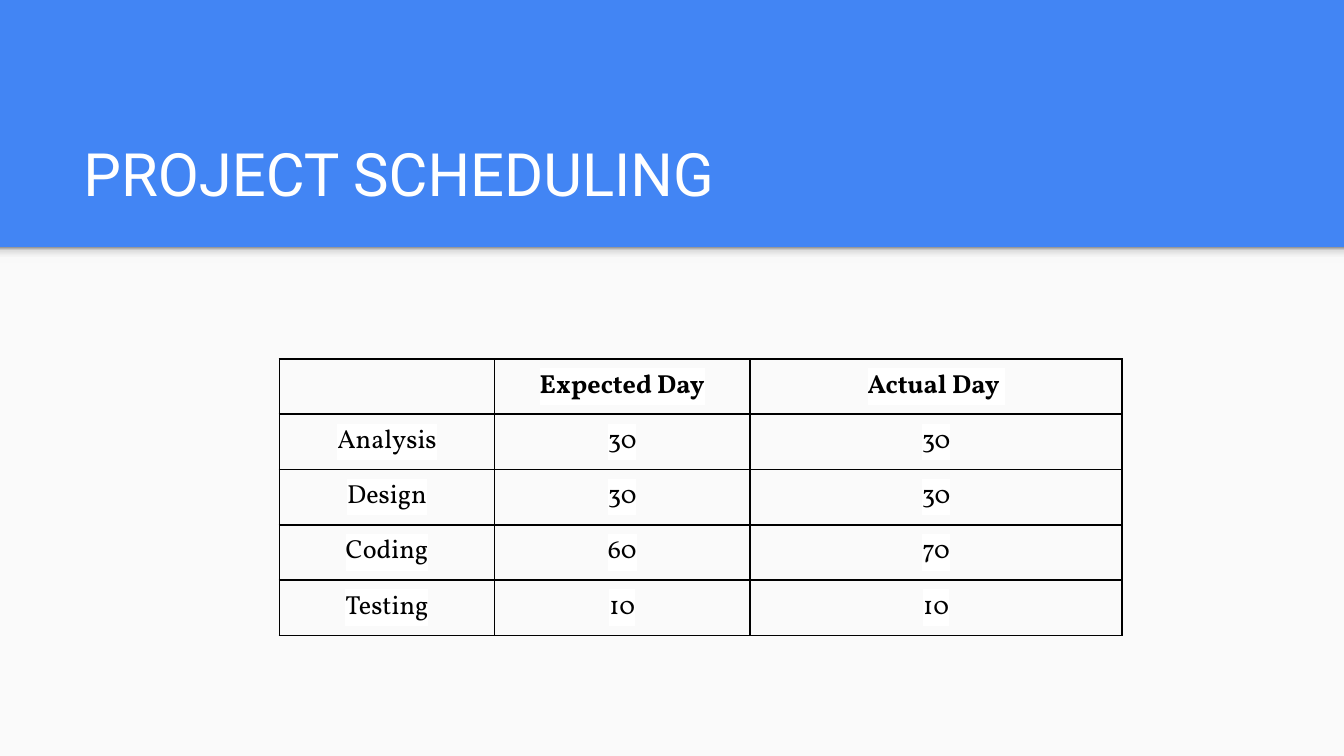
import pptx
import pptx.util
import pptx.dml.color
import pptx.enum.shapes
import pptx.enum.text
import pptx.oxml
import pptx.oxml.ns
from lxml import etree

Inches = pptx.util.Inches
Pt = pptx.util.Pt
RGB = pptx.dml.color.RGBColor
RECT = pptx.enum.shapes.MSO_SHAPE.RECTANGLE
ALIGN = pptx.enum.text.PP_ALIGN
ANCHOR = pptx.enum.text.MSO_ANCHOR
qn = pptx.oxml.ns.qn
NS = pptx.oxml.ns.nsdecls("a")

BLUE = RGB(0x42, 0x85, 0xF4)
PALE = RGB(0xFA, 0xFA, 0xFA)
WHITE = RGB(0xFF, 0xFF, 0xFF)
BLACK = RGB(0, 0, 0)
SHADE = [(0, RGB(0xF9, 0xF9, 0xF9)), (36, RGB(0xF9, 0xF9, 0xF9)),
         (80, RGB(0xDE, 0xDE, 0xDE)), (100, RGB(0x99, 0x99, 0x99))]


def add_band(top, height):
    band = slide.shapes.add_shape(RECT, 0, top, deck.slide_width, height)
    band.shadow.inherit = False
    band.fill.solid()
    band.fill.fore_color.rgb = PALE
    band.line.fill.background()
    return band


deck = pptx.Presentation()
deck.slide_width = Inches(10)
deck.slide_height = Inches(10) * 9 // 16
slide = deck.slides.add_slide(deck.slide_layouts[5])
slide.background.fill.solid()
slide.background.fill.fore_color.rgb = BLUE

edge = Inches(1.84)
add_band(edge, deck.slide_height - edge)
shade = add_band(edge, Inches(0.12))
stops = "".join(f'<a:gs pos="{pos * 1000}"><a:srgbClr val="{tone}"/></a:gs>'
                for pos, tone in SHADE)
grad = pptx.oxml.parse_xml(
    f'<a:gradFill {NS} rotWithShape="1"><a:gsLst>{stops}</a:gsLst>'
    '<a:lin ang="16200000" scaled="0"/></a:gradFill>')
solid = shade.element.spPr.find(qn("a:solidFill"))
solid.getparent().replace(solid, grad)

title = slide.shapes.title
title.left, title.top = Inches(0.52), Inches(0.81)
title.width, title.height = Inches(8.99), Inches(0.84)
frame = title.text_frame
frame.text = "PROJECT SCHEDULING"
frame.word_wrap = True
frame.auto_size = pptx.enum.text.MSO_AUTO_SIZE.NONE
frame.vertical_anchor = ANCHOR.BOTTOM
frame.margin_left = frame.margin_right = Inches(0.1)
frame.margin_top = frame.margin_bottom = Inches(0.1)
frame.paragraphs[0].alignment = ALIGN.LEFT
font = frame.paragraphs[0].runs[0].font
font.name, font.size = "Roboto", Pt(32)
font.color.rgb = WHITE

rows = [
    ["", "Expected Day", "Actual Day "],
    ["Analysis", "30", "30"],
    ["Design", "30", "30"],
    ["Coding", "60", "70"],
    ["Testing", "10", "10"],
]
widths = [1.6, 1.9, 2.77]
high = 0.41
table = slide.shapes.add_table(
    len(rows), len(widths), Inches(2.08), Inches(2.67),
    Inches(sum(widths)), Inches(high * len(rows))).table
table.horz_banding = False
for col, width in zip(table.columns, widths):
    col.width = Inches(width)

for r, row in enumerate(rows):
    table.rows[r].height = Inches(high)
    for c, text in enumerate(row):
        cell = table.cell(r, c)
        cell.margin_left = cell.margin_right = Inches(0.07)
        cell.margin_top = cell.margin_bottom = Inches(0.07)
        cell.fill.background()
        props = cell._tc.get_or_add_tcPr()
        for i, side in enumerate(["lnL", "lnR", "lnT", "lnB"]):
            props.insert(i, pptx.oxml.parse_xml(
                f'<a:{side} {NS} w="{Pt(1)}"><a:solidFill><a:srgbClr val="{BLACK}"/>'
                f'</a:solidFill></a:{side}>'))
        para = cell.text_frame.paragraphs[0]
        para.alignment = ALIGN.CENTER
        if not text:
            etree.SubElement(para._p, qn("a:endParaRPr")).set("sz", "1400")
            continue
        para.text = text
        run = para.runs[0]
        run.font.size = Pt(14)
        run.font.bold = r == 0
        run.font.color.rgb = BLACK
        run._r.rPr.find(qn("a:solidFill")).addnext(pptx.oxml.parse_xml(
            f'<a:highlight {NS}><a:srgbClr val="{WHITE}"/></a:highlight>'))
        run.font.name = "Vollkorn"

deck.save("out.pptx")
